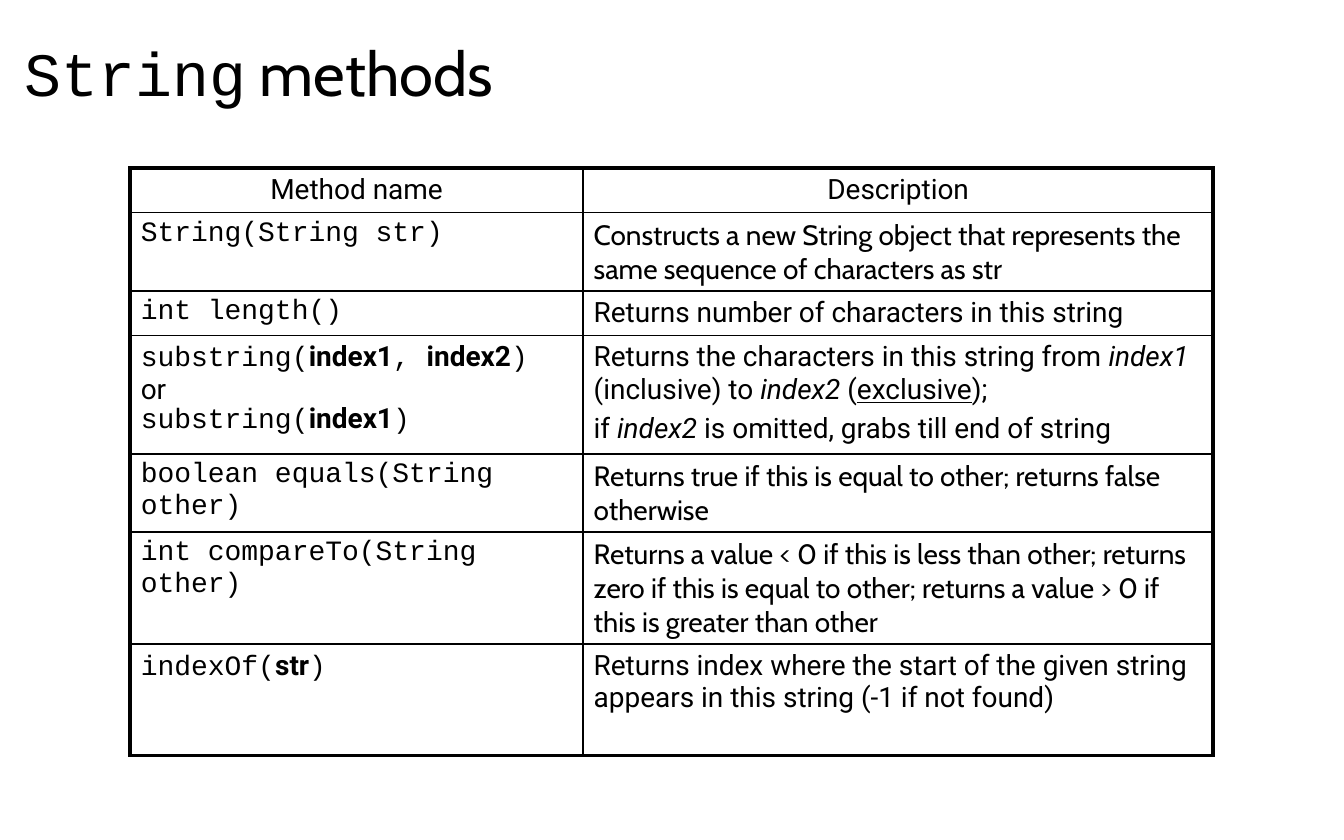
"""Build a slide that lists String methods in a bordered table."""
from lxml import etree
from pptx import Presentation
from pptx.dml.color import RGBColor
from pptx.enum.text import MSO_ANCHOR, PP_ALIGN
from pptx.oxml.ns import qn
from pptx.util import Cm, Pt

BOTTOM, TOP = MSO_ANCHOR.BOTTOM, MSO_ANCHOR.TOP
LEFT, CENTER = PP_ALIGN.LEFT, PP_ALIGN.CENTER

COLORS = {"ink": "000000", "page": "FFFFFF"}
STYLES = {
    "code": {"name": "Courier New"},
    "head": {"name": "Cabin"},
    "body": {"name": "Roboto"},
    "bold": {"name": "Roboto", "bold": True},
    "ital": {"name": "Roboto", "italic": True},
    "line": {"name": "Roboto", "underline": True},
}
TITLE = [("String", "code"), (" methods", "head")]
WIDTHS = [8.56, 11.91]
HEIGHTS = [0.84, 1.48, 0.84, 2.24, 1.48, 2.11, 2.11]
ROWS = [
    ([[("Method name", "body")]], [[("Description", "body")]]),
    ([[("String(String str)", "code")]],
     [[("Constructs a new String object that represents the same sequence "
        "of characters as str", "head")]]),
    ([[("int length()", "code")]],
     [[("Returns number of characters in this string", "body")]]),
    ([[("substring(", "code"), ("index1", "bold"), (", ", "code"),
       ("index2", "bold"), (")", "code")],
      [("or", "body")],
      [("substring(", "code"), ("index1", "bold"), (")", "code")]],
     [[("Returns the characters in this string from ", "body"),
       ("index1", "ital"), (" (inclusive) to ", "body"), ("index2", "ital"),
       (" (", "body"), ("exclusive", "line"), (");", "body")],
      [("if ", "body"), ("index2", "ital"),
       (" is omitted, grabs till end of string", "body")]]),
    ([[("boolean equals(String other)", "code")]],
     [[("Returns true if this is equal to other; returns false otherwise",
        "head")]]),
    ([[("int compareTo(String other)", "code")]],
     [[("Returns a value < 0 if this is less than other; returns zero if this "
        "is equal to other; returns a value > 0 if this is greater than other",
        "head")]]),
    ([[("indexOf(", "code"), ("str", "bold"), (")", "code")]],
     [[("Returns index where the start of the given string appears in this "
        "string (-1 if not found)", "body")]]),
]


def apply(item, values):
    """Set each named value on an item."""
    for name, value in values.items():
        setattr(item, name, value)


def add_runs(para, runs, size):
    """Add styled runs to a paragraph."""
    for text, style in runs:
        run = para.add_run()
        run.text = text
        apply(run.font, {"size": Pt(size), **STYLES[style]})
        run.font.color.rgb = RGBColor.from_string(COLORS["ink"])


def add_title(slide):
    """Add the slide title."""
    box = slide.shapes.add_textbox(Cm(0.46), Cm(0.3), Cm(21.9), Cm(1.78))
    frame = box.text_frame
    apply(frame, {"word_wrap": True, "vertical_anchor": BOTTOM,
                  "margin_left": 0, "margin_right": 0,
                  "margin_top": Cm(0.13), "margin_bottom": 0})
    para = frame.paragraphs[0]
    para.line_spacing = 0.9
    add_runs(para, TITLE, 33)


def add_edges(cell, outer):
    """Draw four cell borders, thick on the outer sides."""
    props = cell._tc.get_or_add_tcPr()
    for side in "LRTB":
        width = Pt(2.25 if side in outer else 1)
        edge = etree.SubElement(props, qn(f"a:ln{side}"), w=str(width))
        fill = etree.SubElement(edge, qn("a:solidFill"))
        etree.SubElement(fill, qn("a:srgbClr"), val=COLORS["ink"])


def fill_cell(cell, paras, align, tight):
    """Write paragraphs into a table cell."""
    apply(cell, {"margin_left": Cm(0.2), "margin_right": Cm(0.2),
                 "margin_top": Cm(0.1), "margin_bottom": Cm(0.1),
                 "vertical_anchor": TOP})
    frame = cell.text_frame
    for num, runs in enumerate(paras):
        para = frame.add_paragraph() if num else frame.paragraphs[0]
        para.alignment = align
        if num:
            para.space_before = Pt(3)
            para.line_spacing = 0.7 if tight else 1.0
        add_runs(para, runs, 15)


def add_grid(slide):
    """Add the table of methods."""
    frame = slide.shapes.add_table(len(ROWS), len(WIDTHS), Cm(2.46), Cm(3.18),
                                   Cm(sum(WIDTHS)), Cm(sum(HEIGHTS)))
    table = frame.table
    apply(table, {"first_row": False, "horz_banding": False})
    for col, width in zip(table.columns, WIDTHS):
        col.width = Cm(width)
    for row, height in zip(table.rows, HEIGHTS):
        row.height = Cm(height)
    last = len(ROWS) - 1
    for r, texts in enumerate(ROWS):
        for c, paras in enumerate(texts):
            cell = table.cell(r, c)
            fill_cell(cell, paras, LEFT if r else CENTER, c == 0)
            add_edges(cell, "LR"[c] + {0: "T", last: "B"}.get(r, ""))
            cell.fill.background()


def main():
    """Build and save the deck."""
    deck = Presentation()
    apply(deck, {"slide_width": Cm(25.4), "slide_height": Cm(15.88)})
    slide = deck.slides.add_slide(deck.slide_layouts[6])
    fill = slide.background.fill
    fill.solid()
    fill.fore_color.rgb = RGBColor.from_string(COLORS["page"])
    add_title(slide)
    add_grid(slide)
    deck.save("out.pptx")


if __name__ == "__main__":
    main()
